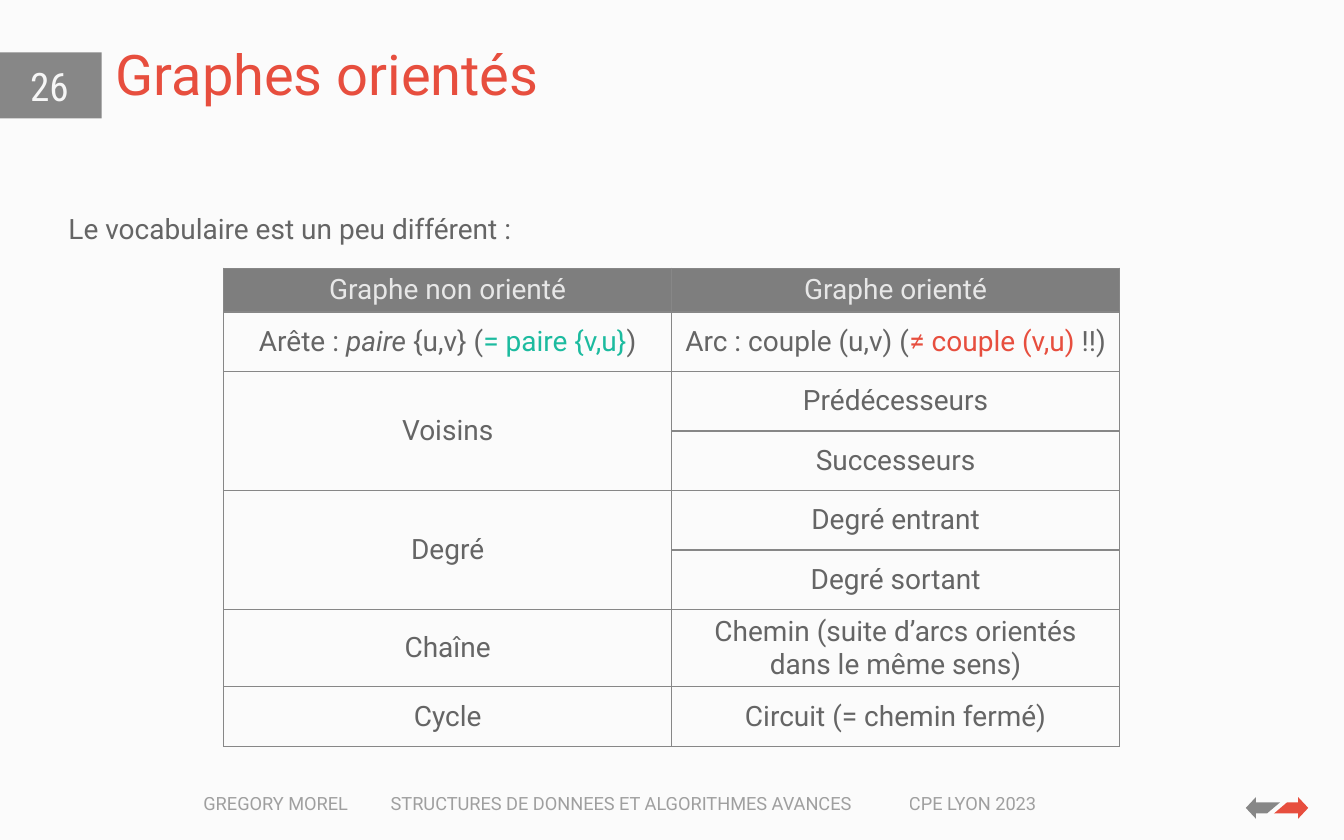
"""Build the slide comparing the vocabulary of undirected and directed graphs."""
from dataclasses import dataclass

from lxml import etree
from pptx import Presentation
from pptx.dml.color import RGBColor
from pptx.enum import shapes, text
from pptx.oxml import ns
from pptx.util import Pt


@dataclass(frozen=True)
class Theme:
    paper: str = "FBFBFB"
    grey: str = "878787"
    red: str = "E74E3E"
    green: str = "1CBB9F"
    ink: str = "656565"
    header: str = "7E7E7E"
    header_ink: str = "E7E7E7"
    number_ink: str = "F6F6F6"
    font: str = "Roboto"
    number_font: str = "Roboto Condensed"
    title: float = 40
    number: float = 28
    body: float = 20
    footer: float = 13


T = Theme()


@dataclass(frozen=True)
class Span:
    text: str
    color: str = T.ink
    italic: bool = False
    size: float = T.body
    font: str = T.font


@dataclass(frozen=True)
class Box:
    left: float
    top: float
    width: float
    height: float

    def emu(self) -> tuple:
        return tuple(Pt(v) for v in (self.left, self.top, self.width, self.height))


@dataclass(frozen=True)
class Label:
    box: Box
    span: Span
    anchor: object = text.MSO_ANCHOR.TOP
    align: object = text.PP_ALIGN.LEFT
    spacing: float = 1.0
    indent: float = 0
    tabs: tuple = ()
    alpha: int = 100


@dataclass(frozen=True)
class Arrow:
    direction: int
    color: str


LABELS = (
    Label(Box(138.2, 562.3, 625, 23),
          Span("GREGORY MOREL\tSTRUCTURES DE DONNEES ET ALGORITHMES AVANCES\tCPE LYON 2023",
               T.grey, size=T.footer), tabs=(133.8, 504), alpha=79),
    Label(Box(75.6, 9.4, 720, 71.3), Span("Graphes orientés", T.red, size=T.title),
          anchor=text.MSO_ANCHOR.BOTTOM, spacing=0.9),
    Label(Box(6.5, 41, 57.6, 36.7),
          Span("26", T.number_ink, size=T.number, font=T.number_font),
          align=text.PP_ALIGN.CENTER),
    Label(Box(27.4, 135.4, 898.6, 39.6), Span("Le vocabulaire est un peu différent :"),
          spacing=1.5, indent=14.4),
)
BADGE = Box(-0.7, 37.4, 73.4, 47.2)
TABLE = Box(159.8, 191.5, 640, 341.6)
ROW_HEIGHTS = (31.4, *[42.5] * 5, 55.2, 42.5)
ROWS = (
    ((Span("Graphe non orienté", T.header_ink),), (Span("Graphe orienté", T.header_ink),)),
    ((Span("Arête : "), Span("paire", italic=True), Span(" {u,v} ("),
      Span("= paire {v,u}", T.green), Span(")")),
     (Span("Arc : couple (u,v) ("), Span("≠ couple (v,u)", T.red), Span(" !!)"))),
    ((Span("Voisins"),), (Span("Prédécesseurs"),)),
    ((), (Span("Successeurs"),)),
    ((Span("Degré"),), (Span("Degré entrant"),)),
    ((), (Span("Degré sortant"),)),
    ((Span("Chaîne"),), (Span("Chemin (suite d’arcs orientés dans le même sens)"),)),
    ((Span("Cycle"),), (Span("Circuit (= chemin fermé)"),)),
)
ARROWS = (Arrow(1, T.red), Arrow(-1, T.grey))
ARROW_CENTER = (912.2, 577.1)
ARROW_POINTS = ((15.1, -4), (15.1, -7.7), (22.3, 0), (15.1, 7.7), (15.1, 4), (-2.2, 4), (7.2, -4))


def rgb(color: str) -> RGBColor:
    """Turn a hexadecimal string into a colour."""
    return RGBColor.from_string(color)


def style_run(r, span: Span) -> None:
    """Give a run the look of its span."""
    r.font.name = span.font
    r.font.size = Pt(span.size)
    r.font.italic = span.italic
    r.font.color.rgb = rgb(span.color)


def paint(sp, color: str) -> None:
    """Fill a shape flatly, without line or shadow."""
    sp.fill.solid()
    sp.fill.fore_color.rgb = rgb(color)
    sp.line.fill.background()
    sp.shadow.inherit = False


def draw_label(s, label: Label) -> None:
    """Draw one text box."""
    tf = s.shapes.add_textbox(*label.box.emu()).text_frame
    tf.word_wrap = True
    tf.vertical_anchor = label.anchor
    p = tf.paragraphs[0]
    p.text = label.span.text
    p.alignment = label.align
    p.line_spacing = label.spacing
    pPr = p._p.get_or_add_pPr()
    if label.indent:
        pPr.set("marL", str(Pt(label.indent)))
    if label.tabs:
        tabs = etree.SubElement(pPr, ns.qn("a:tabLst"))
        for stop in label.tabs:
            etree.SubElement(tabs, ns.qn("a:tab"), pos=str(Pt(stop)), algn="l")
    for r in p.runs:
        style_run(r, label.span)
        if label.alpha < 100:
            color = r._r.rPr.find(".//" + ns.qn("a:srgbClr"))
            etree.SubElement(color, ns.qn("a:alpha"), val=str(label.alpha * 1000))


def draw_arrow(s, arrow: Arrow) -> None:
    """Draw one half of the double arrow."""
    cx, cy = ARROW_CENTER
    points = [(Pt(cx + arrow.direction * x), Pt(cy + arrow.direction * y))
              for x, y in ARROW_POINTS]
    builder = s.shapes.build_freeform(*points[0])
    builder.add_line_segments(points[1:], close=True)
    paint(builder.convert_to_shape(), arrow.color)


def add_borders(cell) -> None:
    """Rule the four sides of a cell."""
    tcPr = cell._tc.get_or_add_tcPr()
    for i, side in enumerate("LRTB"):
        ln = etree.Element(ns.qn(f"a:ln{side}"), w=str(Pt(1)))
        fill = etree.SubElement(ln, ns.qn("a:solidFill"))
        etree.SubElement(fill, ns.qn("a:srgbClr"), val=T.grey)
        tcPr.insert(i, ln)


def draw_table(s) -> None:
    """Draw the vocabulary table, merging each empty cell with the one above."""
    table = s.shapes.add_table(len(ROWS), 2, *TABLE.emu()).table
    table.first_row = table.horz_banding = False
    for row, height in zip(table.rows, ROW_HEIGHTS):
        row.height = Pt(height)
    for i, row in enumerate(ROWS):
        for j, spans in enumerate(row):
            cell = table.cell(i, j)
            if i:
                cell.fill.background()
                cell.vertical_anchor = text.MSO_ANCHOR.MIDDLE
            else:
                cell.fill.solid()
                cell.fill.fore_color.rgb = rgb(T.header)
            add_borders(cell)
            p = cell.text_frame.paragraphs[0]
            p.alignment = text.PP_ALIGN.CENTER
            for span in spans:
                r = p.add_run()
                r.text = span.text
                style_run(r, span)
            if not spans:
                table.cell(i - 1, j).merge(cell)


def main() -> None:
    """Build and save the slide."""
    prs = Presentation()
    prs.slide_width, prs.slide_height = Pt(960), Pt(600)
    s = prs.slides.add_slide(prs.slide_layouts[6])
    s.background.fill.solid()
    s.background.fill.fore_color.rgb = rgb(T.paper)
    paint(s.shapes.add_shape(shapes.MSO_SHAPE.RECTANGLE, *BADGE.emu()), T.grey)
    for arrow in ARROWS:
        draw_arrow(s, arrow)
    for label in LABELS:
        draw_label(s, label)
    draw_table(s)
    prs.save("out.pptx")


if __name__ == "__main__":
    main()
